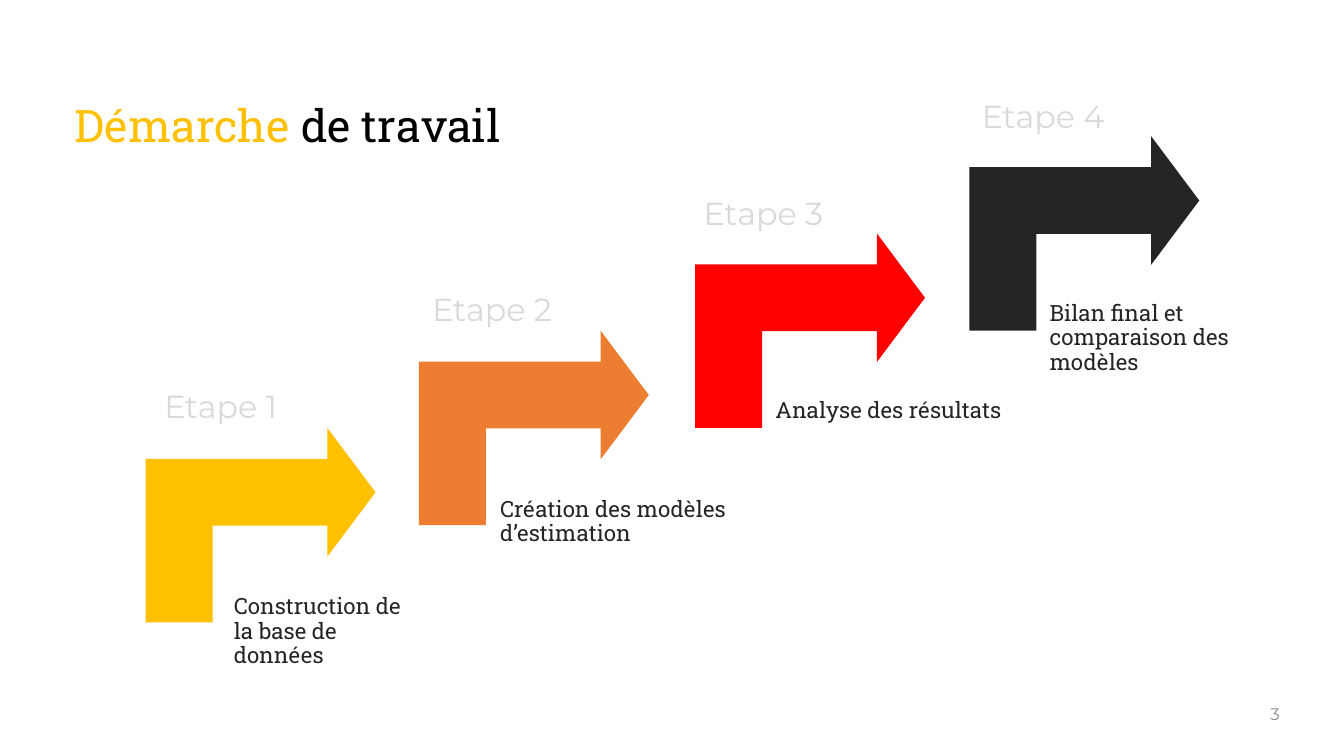
from pptx import Presentation
from pptx.dml.color import RGBColor
from pptx.enum.shapes import MSO_SHAPE
from pptx.enum.text import MSO_ANCHOR
from pptx.util import Inches, Pt

ARROW = MSO_SHAPE.BENT_UP_ARROW
TOP, MIDDLE, BOTTOM = MSO_ANCHOR.TOP, MSO_ANCHOR.MIDDLE, MSO_ANCHOR.BOTTOM
SERIF, SANS = "Roboto Slab", "Montserrat"
DARK, YELLOW = "252525", "FFC000"


def rgb(value):
    return RGBColor.from_string(value)


def add_text(text, left, top, width, height, size=16, font=SERIF, color=DARK,
             anchor=TOP, spacing=0.9, lead="", lead_color=YELLOW):
    tf = s.shapes.add_textbox(Inches(left), Inches(top), Inches(width), Inches(height)).text_frame
    tf.word_wrap = True
    tf.vertical_anchor = anchor
    tf.margin_left = tf.margin_right = tf.margin_top = tf.margin_bottom = Inches(0.13)
    p = tf.paragraphs[0]
    p.line_spacing = spacing
    for part, part_color in ((lead, lead_color), (text, color)):
        if part:
            r = p.add_run()
            r.text = part
            r.font.size = Pt(size)
            r.font.name = font
            r.font.color.rgb = rgb(part_color)


prs = Presentation()
prs.slide_width, prs.slide_height = Inches(13.33), Inches(7.5)
s = prs.slides.add_slide(prs.slide_layouts[6])

add_text(" de travail", 0.61, 0.92, 4.93, 0.72, size=32, color="000000",
         anchor=BOTTOM, lead="Démarche")

steps = [
    (YELLOW, 1.62, 1.5, 2.19, 1.96, "Construction de la base de données"),
    ("ED7D31", 4.33, 4.16, 4.83, 2.55, "Création des modèles d’estimation"),
    ("FF0000", 7.07, 6.85, 7.56, 2.55, "Analyse des résultats"),
    (DARK, 9.79, 9.61, 10.28, 2.55, "Bilan final et comparaison des modèles"),
]
for i, (color, arrow_left, label_left, text_left, text_width, text) in enumerate(steps):
    rise = 0.965 * i
    sp = s.shapes.add_shape(ARROW, Inches(arrow_left), Inches(4.07 - rise),
                            Inches(1.93), Inches(2.28))
    sp.rotation = 90
    sp._element.spPr.xfrm.set("flipH", "1")
    for j, value in enumerate((0.344, 0.331, 0.248)):
        sp.adjustments[j] = value
    sp.shadow.inherit = False
    sp.fill.solid()
    sp.fill.fore_color.rgb = rgb(color)
    sp.line.fill.background()
    add_text(f"Etape {i + 1}", label_left, 3.75 - 0.96 * i, 2.36, 0.49,
             size=22.7, font=SANS, color="D9D9D9")
    add_text(text, text_left, 5.78 - 0.97 * i, text_width, 0.96)

add_text("3", 12.47, 6.8, 0.8, 0.57, size=12, font=SANS, color="8C8C8C",
         anchor=MIDDLE, spacing=1.0)

prs.save("out.pptx")
